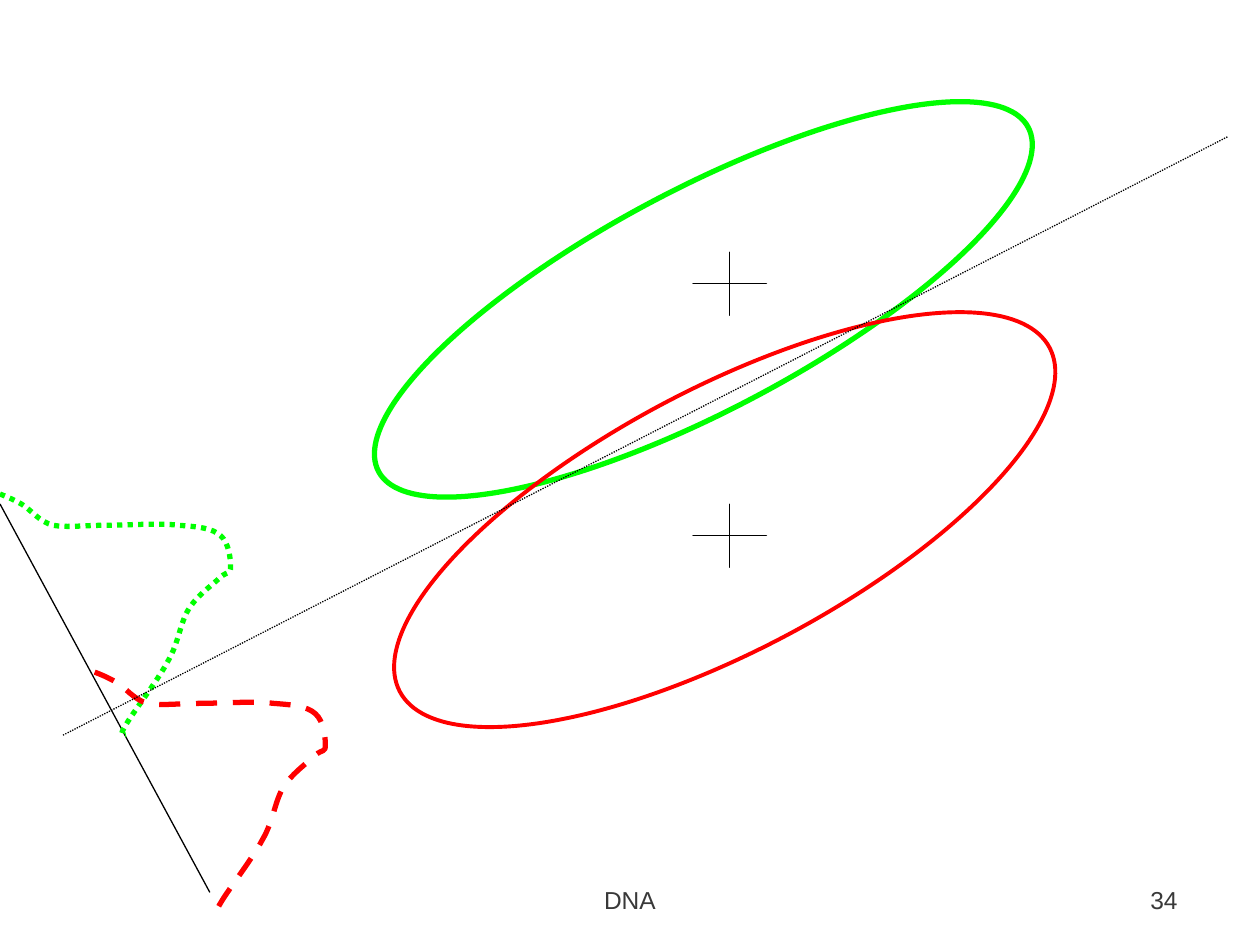
from lxml.etree import SubElement
from pptx import Presentation
from pptx.dml.color import RGBColor
from pptx.enum.dml import MSO_LINE_DASH_STYLE as Dash
from pptx.enum.shapes import MSO_CONNECTOR as Connector, MSO_SHAPE as Shape
from pptx.enum.text import MSO_ANCHOR as Anchor, PP_ALIGN as Align
from pptx.oxml.ns import qn
from pptx.util import Cm, Pt

GREEN = RGBColor(0x00, 0xFF, 0x00)
RED = RGBColor(0xFF, 0x00, 0x00)
BLACK = RGBColor(0x00, 0x00, 0x00)
LIGHT_GREY = RGBColor(0xCB, 0xCB, 0xCB)
DARK_GREY = RGBColor(0x39, 0x39, 0x39)

CROSS_WIDTH, CROSS_HEIGHT = 1.48, 1.27
PROFILE = [
    (0, 0),
    (0.13, 0.05), (0.25, 0.1), (0.43, 0.2),
    (0.61, 0.3), (0.79, 0.56), (1.07, 0.63),
    (1.35, 0.68), (1.7, 0.63), (2.11, 0.63),
    (2.54, 0.63), (3.2, 0.58), (3.61, 0.63),
    (3.99, 0.66), (4.27, 0.68), (4.45, 0.84),
    (4.62, 0.99), (4.65, 1.32), (4.65, 1.47),
    (4.65, 1.62), (4.6, 1.55), (4.45, 1.67),
    (4.29, 1.83), (3.99, 2.03), (3.81, 2.31),
    (3.63, 2.59), (3.61, 2.99), (3.38, 3.38),
    (3.18, 3.76), (2.69, 4.39), (2.54, 4.65),
    (2.39, 4.9), (2.46, 4.87), (2.54, 4.85),
]


def apply(target, values):
    for name, value in values.items():
        setattr(target, name, value)


def style_line(line, color, width, dash=None):
    line.color.rgb = color
    apply(line, {"width": Pt(width), "dash_style": dash})


def add_cluster(slide, left, top, width, height, color, weight):
    cluster = slide.shapes.add_shape(
        Shape.OVAL, Cm(left), Cm(top), Cm(width), Cm(height))
    cluster.rotation = 332.1
    cluster.shadow.inherit = False
    cluster.fill.background()
    style_line(cluster.line, color, weight)


def add_outline(slide, points, close):
    (x, y), *rest = [(Cm(x), Cm(y)) for x, y in points]
    builder = slide.shapes.build_freeform(x, y)
    builder.add_line_segments(rest, close=close)
    outline = builder.convert_to_shape()
    outline.shadow.inherit = False
    return outline


def add_cross(slide, x, y):
    center = (x, y)
    dx, dy = CROSS_WIDTH / 2, CROSS_HEIGHT / 2
    left, right = (x - dx, y), (x + dx, y)
    top, bottom = (x, y - dy), (x, y + dy)
    cross = add_outline(
        slide,
        [left, center, top, center, right, center, bottom, center, left], True)
    cross.fill.solid()
    cross.fill.fore_color.rgb = LIGHT_GREY
    style_line(cross.line, BLACK, 0.75)


def bend_segments(outline):
    segments = list(outline._element.iter(qn("a:lnTo")))
    for start in range(0, len(segments), 3):
        curve = SubElement(segments[start].getparent(), qn("a:cubicBezTo"))
        for segment in segments[start:start + 3]:
            curve.append(segment[0])
            segment.getparent().remove(segment)


def add_profile(slide, left, top, color, dash):
    profile = add_outline(slide, [(left + x, top + y) for x, y in PROFILE], False)
    bend_segments(profile)
    profile.fill.background()
    style_line(profile.line, color, 3, dash)


def add_axis(slide, start, end, dash=None):
    axis = slide.shapes.add_connector(
        Connector.STRAIGHT, *(Cm(value) for value in start + end))
    style_line(axis.line, BLACK, 0.75, dash)
    SubElement(axis._element.spPr, qn("a:effectLst"))


def add_footer(slide, left, width, text, alignment):
    footer = slide.shapes.add_textbox(Cm(left), Cm(17.29), Cm(width), Cm(1.27))
    frame = footer.text_frame
    apply(frame, {"word_wrap": True, "vertical_anchor": Anchor.BOTTOM})
    paragraph = frame.paragraphs[0]
    paragraph.alignment = alignment
    run = paragraph.add_run()
    run.text = text
    apply(run.font, {"name": "Arial", "size": Pt(14)})
    run.font.color.rgb = DARK_GREY


def main():
    deck = Presentation()
    apply(deck, {"slide_width": Cm(25.4), "slide_height": Cm(19.05)})
    slide = deck.slides.add_slide(deck.slide_layouts[6])

    add_cluster(slide, 6.77, 3.81, 14.82, 4.45, GREEN, 3)
    add_cluster(slide, 7.2, 7.83, 14.82, 5.29, RED, 2.25)
    for center_y in (5.72, 10.8):
        add_cross(slide, 14.71, center_y)

    add_axis(slide, (0, 10.16), (4.23, 17.99))
    add_profile(slide, 0, 9.96, GREEN, Dash.ROUND_DOT)
    add_profile(slide, 1.91, 13.55, RED, Dash.DASH)
    add_axis(slide, (1.27, 14.82), (24.76, 2.75), Dash.ROUND_DOT)

    add_footer(slide, 8.68, 8.04, "DNA", Align.CENTER)
    add_footer(slide, 18.7, 5.29, "34", Align.RIGHT)
    deck.save("out.pptx")


if __name__ == "__main__":
    main()
